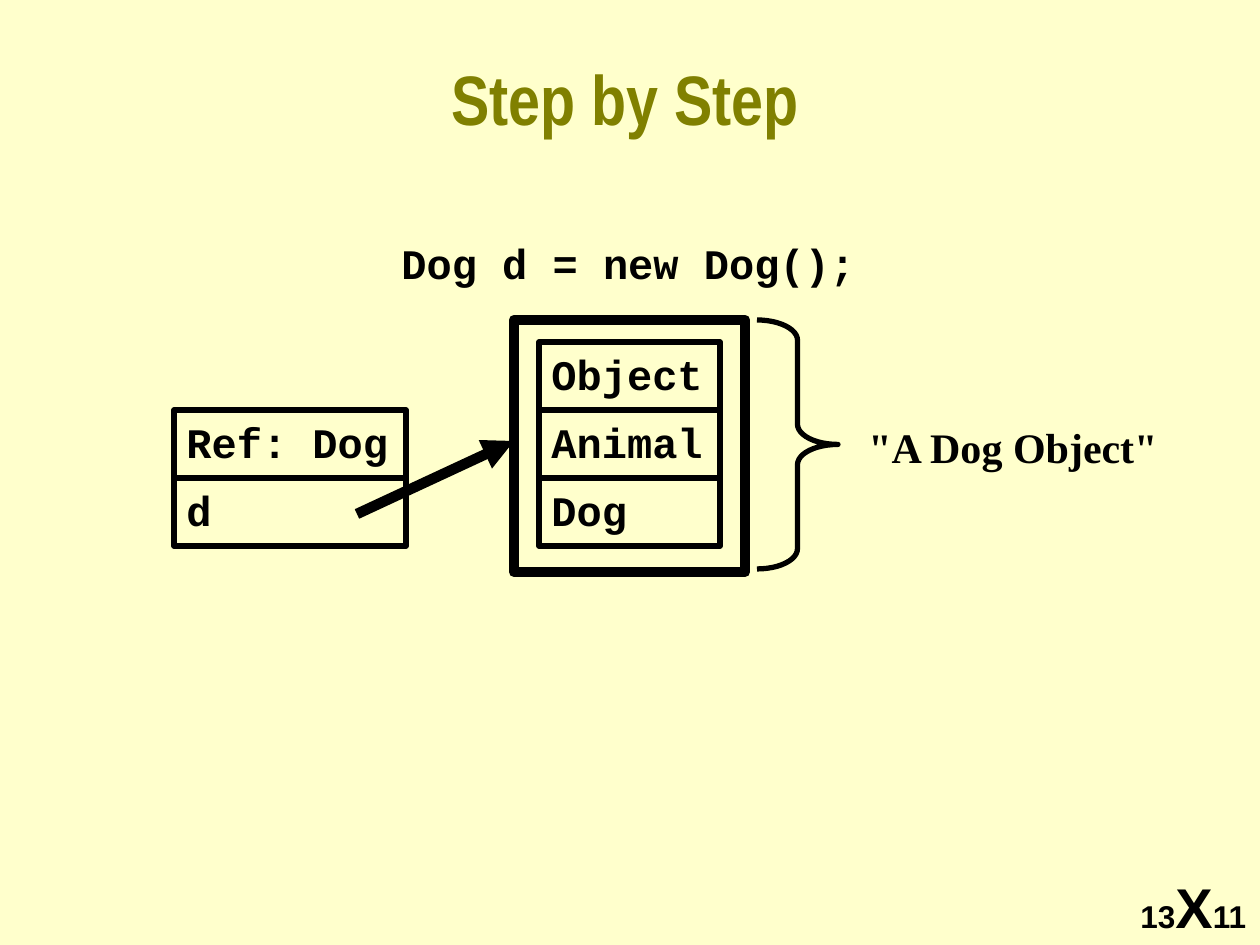
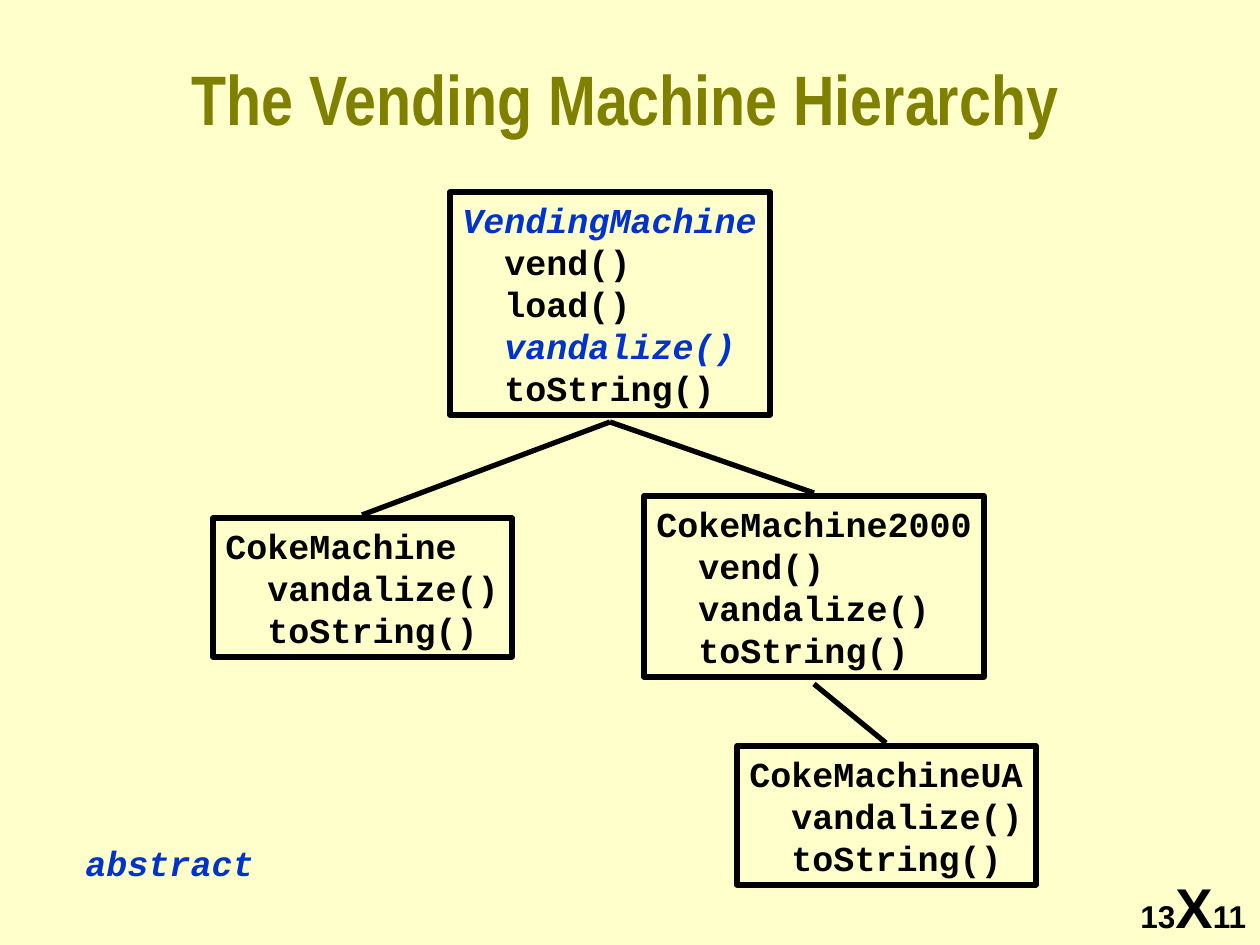
from lxml import etree
from pptx import Presentation
from pptx.dml.color import RGBColor
from pptx.enum.shapes import MSO_CONNECTOR, MSO_SHAPE
from pptx.enum.text import MSO_ANCHOR, MSO_AUTO_SIZE, PP_ALIGN
from pptx.oxml.ns import qn
from pptx.util import Emu, Pt

PX = 914400 / 126
RECTANGLE, BRACE = MSO_SHAPE.RECTANGLE, MSO_SHAPE.RIGHT_BRACE
STRAIGHT = MSO_CONNECTOR.STRAIGHT
LEFT, CENTER = PP_ALIGN.LEFT, PP_ALIGN.CENTER
TOP, MIDDLE = MSO_ANCHOR.TOP, MSO_ANCHOR.MIDDLE
FIXED = MSO_AUTO_SIZE.NONE

COLORS = {"page": "FFFFCC", "ink": "000000", "title": "808000", "abstract": "0033CC"}
TITLE = {"name": "Arial Narrow", "size": Pt(40), "bold": True, "color": "title"}
CODE = {"name": "Courier New", "size": Pt(24), "bold": True, "color": "ink"}
MEMBER = {**CODE, "size": Pt(20)}
ABSTRACT = {**MEMBER, "italic": True, "color": "abstract"}
CAPTION = {**CODE, "name": "Times New Roman"}
FOOTER = {**CODE, "name": "Arial", "size": Pt(18)}
FOOTER_MARK = {**FOOTER, "size": Pt(32)}

ROW_HEIGHT = 68
CLASSES = {
    "VendingMachine": ((450, 192, 320, 223),
                       ("  vend()", "  load()", "  vandalize()", "  toString()")),
    "CokeMachine": ((213, 518, 299, 139), ("  vandalize()", "  toString()")),
    "CokeMachine2000": ((644, 496, 340, 181),
                        ("  vend()", "  vandalize()", "  toString()")),
    "CokeMachineUA": ((737, 746, 299, 139), ("  vandalize()", "  toString()")),
}
ABSTRACT_LINES = {"VendingMachine": ("VendingMachine", "  vandalize()")}
PARENTS = (("VendingMachine", "CokeMachine"), ("VendingMachine", "CokeMachine2000"),
           ("CokeMachine2000", "CokeMachineUA"))


def emu(*lengths):
    """Turn px lengths into EMU."""
    return [Emu(round(length * PX)) for length in lengths]


def color(name):
    """Look up a named colour."""
    return RGBColor.from_string(COLORS[name])


def write(frame, lines, align=LEFT, anchor=TOP, wrap=False):
    """Fill a text frame with lines, each a list of (text, format) spans."""
    for name, value in {"auto_size": FIXED, "word_wrap": wrap,
                        "vertical_anchor": anchor}.items():
        setattr(frame, name, value)
    for index, spans in enumerate(lines):
        para = frame.add_paragraph() if index else frame.paragraphs[0]
        para.alignment = align
        for text, style in spans:
            span = para.add_run()
            span.text = text
            for name, value in style.items():
                if name == "color":
                    span.font.color.rgb = color(value)
                else:
                    setattr(span.font, name, value)


def add_text(page, box, *spans):
    """Place one line of text in a box."""
    write(page.shapes.add_textbox(*emu(*box)).text_frame, [spans])


def add_outline(page, kind, box, width=3, lines=()):
    """Draw an unfilled preset shape, with optional lines of text."""
    shape = page.shapes.add_shape(kind, *emu(*box))
    shape.shadow.inherit = False
    shape.fill.background()
    shape.line.color.rgb = color("ink")
    shape.line.width = Pt(width)
    write(shape.text_frame, lines)
    return shape


def add_line(page, start, end, width=3, arrow=False):
    """Draw a straight line, with an arrowhead at its end if asked."""
    line = page.shapes.add_connector(STRAIGHT, *emu(*start, *end))
    line.line.color.rgb = color("ink")
    line.line.width = Pt(width)
    if arrow:
        etree.SubElement(line.line._get_or_add_ln(), qn("a:tailEnd"), type="triangle")
    etree.SubElement(line._element.spPr, qn("a:effectLst"))


def add_page(deck, heading):
    """Add a slide with the shared title and footer."""
    page = deck.slides.add_slide(deck.slide_layouts[5])
    title = page.shapes.title
    title.left, title.top, title.width, title.height = emu(42, 42, 1166, 110)
    write(title.text_frame, [[(heading, TITLE)]], CENTER, MIDDLE, True)
    add_text(page, (1128, 866, 132, 81),
             ("13", FOOTER), ("X", FOOTER_MARK), ("11", FOOTER))
    return page


def add_stack(page, left, top, width, labels):
    """Stack equal labelled cells downwards."""
    for index, label in enumerate(labels):
        add_outline(page, RECTANGLE, (left, top + index * ROW_HEIGHT, width, ROW_HEIGHT),
                    lines=[[(label, CODE)]])


def add_object(page, left, top, width, height):
    """Draw the framed object, its brace and its caption."""
    add_stack(page, left + 25, top + 22, width - 50, ("Object", "Animal", "Dog"))
    add_outline(page, RECTANGLE, (left, top, width, height), 6)
    brace = add_outline(page, BRACE, (left + width + 12, top, 81, height - 3))
    brace.adjustments[0] = 0.25
    add_text(page, (left + width + 111, top + 95, 316, 63), ('"A Dog Object"', CAPTION))


def add_class(page, name):
    """Draw one class with its members."""
    box, members = CLASSES[name]
    marked = ABSTRACT_LINES.get(name, ())
    lines = [[(text, ABSTRACT if text in marked else MEMBER)] for text in (name, *members)]
    add_outline(page, RECTANGLE, box, lines=lines)


def link_classes(page, parent, child):
    """Join the bottom of a parent class to the top of its child."""
    left, top, width, height = CLASSES[parent][0]
    child_left, child_top, child_width, _ = CLASSES[child][0]
    add_line(page, (left + width // 2, top + height + 7),
             (child_left + child_width // 2, child_top - 3))


def build_reference(deck):
    """Build the slide on a reference and its object."""
    page = add_page(deck, "Step by Step")
    add_stack(page, 174, 410, 232, ("Ref: Dog", "d"))
    add_text(page, (389, 231, 479, 63), ("Dog d = new Dog();", CODE))
    add_object(page, 514, 320, 231, 252)
    add_line(page, (357, 514), (514, 441), 6, True)


def build_hierarchy(deck):
    """Build the class hierarchy slide."""
    page = add_page(deck, "The Vending Machine Hierarchy")
    for name in CLASSES:
        add_class(page, name)
    for parent, child in PARENTS:
        link_classes(page, parent, child)
    add_text(page, (73, 835, 193, 55), ("abstract", ABSTRACT))


def main():
    """Build and save the deck."""
    deck = Presentation()
    deck.slide_width, deck.slide_height = emu(1260, 945)
    background = deck.slide_master.background.fill
    background.solid()
    background.fore_color.rgb = color("page")
    build_reference(deck)
    build_hierarchy(deck)
    deck.save("out.pptx")


if __name__ == "__main__":
    main()
